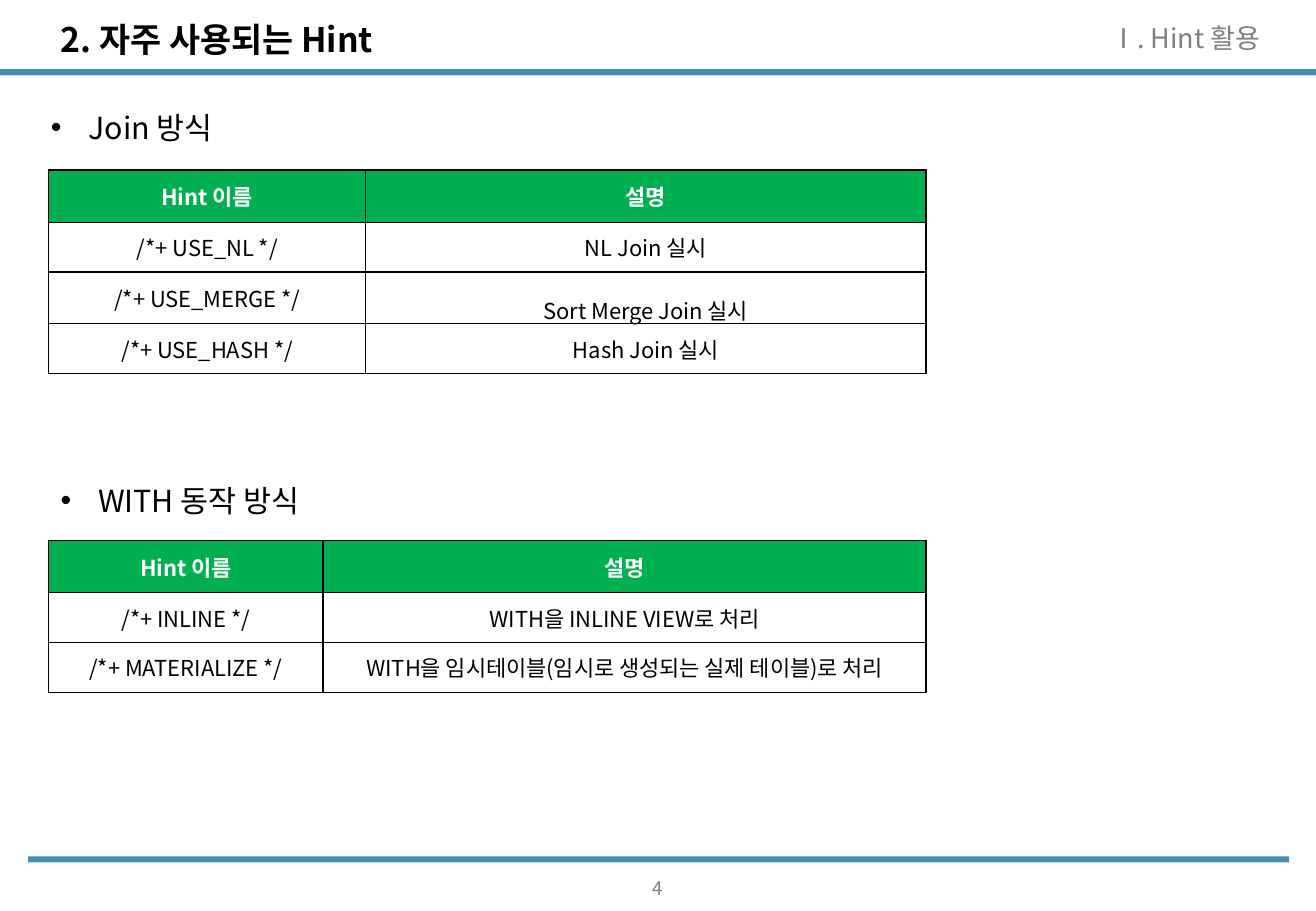
from lxml.etree import SubElement
from pptx import Presentation
from pptx.dml.color import RGBColor
from pptx.enum.shapes import MSO_SHAPE
from pptx.enum.text import MSO_ANCHOR, MSO_AUTO_SIZE, PP_ALIGN
from pptx.oxml.ns import qn
from pptx.util import Inches, Pt

FONT = "Noto Sans CJK KR"
BLUE = RGBColor(0x45, 0x8D, 0xB0)
GREEN = RGBColor(0x00, 0xB0, 0x50)
GRAY = RGBColor(0x80, 0x80, 0x80)
BLACK = RGBColor(0x00, 0x00, 0x00)
WHITE = RGBColor(0xFF, 0xFF, 0xFF)

HEADER = ("Hint 이름", "설명")
JOIN_HINTS = [
    HEADER,
    ("/*+ USE_NL */", "NL Join 실시"),
    ("/*+ USE_MERGE */", "Sort Merge Join 실시"),
    ("/*+ USE_HASH */", "Hash Join 실시"),
]
WITH_HINTS = [
    HEADER,
    ("/*+ INLINE */", "WITH을 INLINE VIEW로 처리"),
    ("/*+ MATERIALIZE */", "WITH을 임시테이블(임시로 생성되는 실제 테이블)로 처리"),
]


def write_text(frame, text, *, size, color=BLACK, bold=False,
               align=PP_ALIGN.LEFT, spacing=1.0, before=0, bullet=None):
    paragraph = frame.paragraphs[0]
    paragraph.alignment = align
    paragraph.line_spacing = spacing
    paragraph.space_before = Pt(before)
    properties = paragraph._p.get_or_add_pPr()
    indent = Inches(0.31) if bullet else 0
    properties.set("marL", str(indent))
    properties.set("indent", str(-indent))
    if bullet:
        SubElement(properties, qn("a:buFont"), typeface="Arial")
        SubElement(properties, qn("a:buChar"), char=bullet)
    else:
        SubElement(properties, qn("a:buNone"))
    run = paragraph.add_run()
    run.text = text
    run.font.name = FONT
    run.font.size = Pt(size)
    run.font.bold = bold
    run.font.color.rgb = color
    # Korean letters take the East Asian typeface
    SubElement(run._r.get_or_add_rPr(), qn("a:ea"), typeface=FONT)


def place(shape, left, top, width, height):
    shape.left, shape.top = Inches(left), Inches(top)
    shape.width, shape.height = Inches(width), Inches(height)


def fill_placeholder(shape, box, text, **text_format):
    place(shape, *box)
    frame = shape.text_frame
    frame.auto_size = MSO_AUTO_SIZE.NONE
    frame.vertical_anchor = MSO_ANCHOR.MIDDLE
    write_text(frame, text, spacing=1.2, **text_format)


def add_text(slide, box, text, anchor=MSO_ANCHOR.TOP, **text_format):
    shape = slide.shapes.add_textbox(*map(Inches, box))
    frame = shape.text_frame
    frame.word_wrap = True
    frame.vertical_anchor = anchor
    write_text(frame, text, **text_format)


def add_bar(slide, left, top, width):
    bar = slide.shapes.add_shape(
        MSO_SHAPE.RECTANGLE, Inches(left), Inches(top), Inches(width), Inches(0.05))
    bar.shadow.inherit = False
    bar.fill.solid()
    bar.fill.fore_color.rgb = BLUE
    bar.line.fill.background()


def add_borders(cell):
    properties = cell._tc.get_or_add_tcPr()
    for side in ("lnL", "lnR", "lnT", "lnB"):
        line = SubElement(properties, qn(f"a:{side}"), w=str(Pt(1)))
        fill = SubElement(line, qn("a:solidFill"))
        SubElement(fill, qn("a:srgbClr"), val=str(BLACK))


def add_hint_table(slide, top, widths, rows, loose_cell=None):
    heights = [0.43] + [0.41] * (len(rows) - 1)
    table = slide.shapes.add_table(
        len(rows), len(widths), Inches(0.4), Inches(top),
        Inches(sum(widths)), Inches(sum(heights))).table
    table.horz_banding = False
    for column, width in zip(table.columns, widths):
        column.width = Inches(width)
    for row_index, (texts, height) in enumerate(zip(rows, heights)):
        table.rows[row_index].height = Inches(height)
        is_header = row_index == 0
        for column_index, text in enumerate(texts):
            cell = table.cell(row_index, column_index)
            cell.vertical_anchor = MSO_ANCHOR.MIDDLE
            add_borders(cell)
            if is_header:
                cell.fill.solid()
                cell.fill.fore_color.rgb = GREEN
            else:
                cell.fill.background()
            is_loose = (row_index, column_index) == loose_cell
            write_text(cell.text_frame, text, size=13, bold=is_header,
                       color=WHITE if is_header else BLACK,
                       align=PP_ALIGN.CENTER, spacing=1.5 if is_loose else 1.0)


def main():
    presentation = Presentation()
    presentation.slide_width = Inches(10.83)
    presentation.slide_height = Inches(7.5)
    slide = presentation.slides.add_slide(presentation.slide_layouts[1])

    # Header and footer
    add_bar(slide, 0, 0.57, 10.83)
    add_bar(slide, 0.23, 7.05, 10.38)
    fill_placeholder(slide.shapes.title, (0.4, 0.06, 7.2, 0.45),
                     "2. 자주 사용되는 Hint", size=20, bold=True)
    fill_placeholder(slide.placeholders[1], (7.38, 0.07, 3.09, 0.43),
                     "Ⅰ. Hint 활용", size=16, color=GRAY,
                     align=PP_ALIGN.RIGHT, before=10)
    add_text(slide, (4.85, 7.14, 1.13, 0.3), "4", anchor=MSO_ANCHOR.MIDDLE,
             size=11.1, color=GRAY, align=PP_ALIGN.CENTER, spacing=1.2)

    # Join hints
    add_text(slide, (0.32, 0.85, 1.95, 0.41), "Join 방식", size=18, bullet="•")
    add_hint_table(slide, 1.4, (2.61, 4.61), JOIN_HINTS, loose_cell=(2, 1))

    # WITH hints
    add_text(slide, (0.4, 3.92, 2.33, 0.4), "WITH 동작 방식", size=18, bullet="•")
    add_hint_table(slide, 4.45, (2.26, 4.96), WITH_HINTS)

    presentation.save("out.pptx")


if __name__ == "__main__":
    main()
